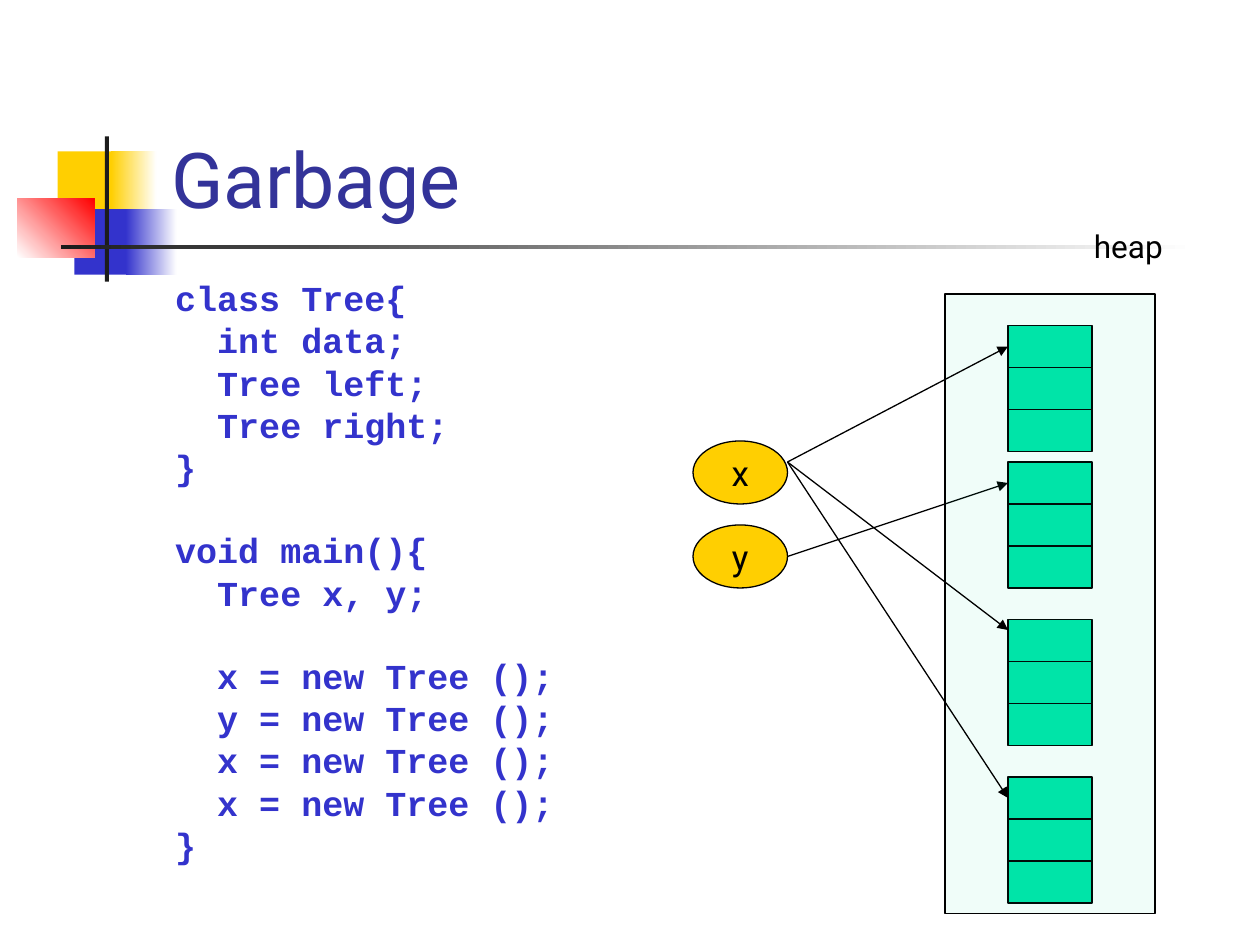
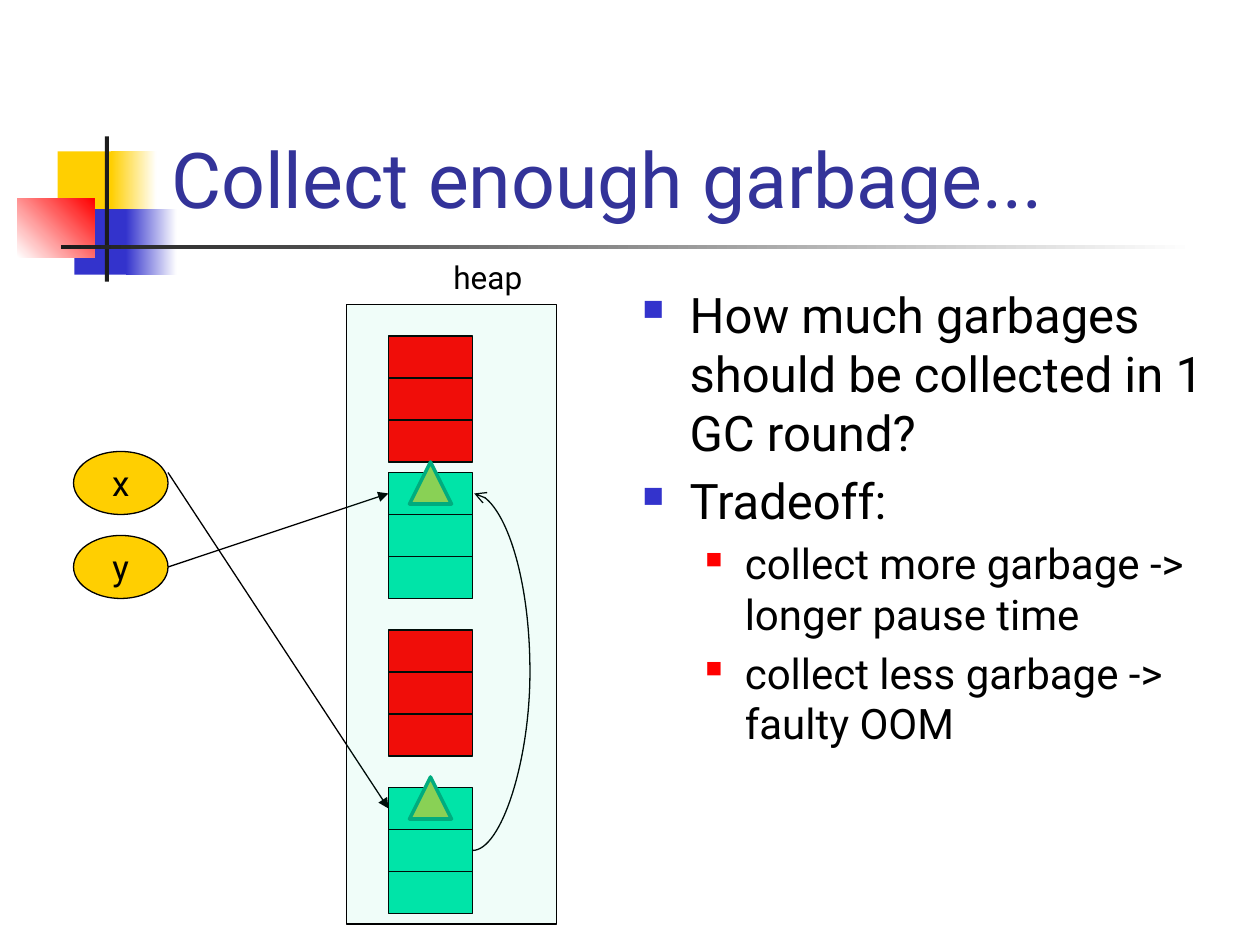
from lxml import etree
from pptx import Presentation
from pptx import util as u
from pptx.dml import color
from pptx.enum import shapes, text
from pptx.oxml import ns

Pt = u.Pt
SHAPE = shapes.MSO_SHAPE
LINE = shapes.MSO_CONNECTOR
COLOURS = {
    "yellow": "FFCF01", "blue": "3333CC", "title": "333399", "red": "FF0000",
    "live": "00E4A8", "mark": "92D050", "mark_edge": "00A97C",
    "bar": "1C1C1C", "white": "FFFFFF", "black": "000000",
}
BODY_FONT, CODE_FONT = "Roboto", "Courier New"
BANDS = [
    (33, 86.5, 34.5, 37.5, "yellow", None, 0),
    (63.5, 86.5, 26, 37.5, "yellow", "white", 0),
    (42.5, 119.5, 33, 37.5, "blue", None, 0),
    (72, 119.5, 29, 37.5, "blue", "white", 0),
    (10, 113.5, 44, 33.5, "white", "red", 45),
    (60, 78, 2.2, 83, "bar", None, 0),
    (34.8, 140, 648, 2.5, "bar", "white", 0),
]
CELL_W, CELL_H = 48, 24
HEAP_W, HEAP_H = 120, 354
NODE_OFFSETS = (18, 96, 186, 276)
ROOT_W, ROOT_H, ROOT_STEP = 54, 36, 48

CODE_BLOCKS = [
    ["class Tree{", "  int data;", "  Tree left;", "  Tree right;", "}"],
    ["void main(){", "  Tree x, y;"],
    ["  x = new Tree ();", "  y = new Tree ();", "  x = new Tree ();",
     "  x = new Tree ();", "}"],
]
TRADEOFFS = [
    (0, "How much garbages should be collected in 1 GC round?"),
    (0, "Tradeoff:"),
    (1, "collect more garbage -> longer pause time"),
    (1, "collect less garbage -> faulty OOM"),
]
BULLET_LEVELS = [
    {"size": 28, "left": 27, "hang": 27, "colour": "blue", "percent": 60},
    {"size": 24, "left": 58.5, "hang": 22.5, "colour": "red", "percent": 55},
]


def rgb(name):
    return color.RGBColor.from_string(COLOURS[name])


def add_xml(parent, tag, **attributes):
    return etree.SubElement(parent, ns.qn(tag), attributes)


class Deck:
    def __init__(self):
        self.show = Presentation()
        self.show.slide_width, self.show.slide_height = Pt(720), Pt(540)
        self.slide = None

    def start(self, heading):
        self.slide = self.show.slides.add_slide(self.show.slide_layouts[5])
        for x, y, w, h, colour, fade, angle in BANDS:
            self.block(SHAPE.RECTANGLE, x, y, w, h, colour, None, fade=fade, angle=angle)
        title = self.slide.shapes.title
        title.left, title.top, title.width, title.height = Pt(90.7), Pt(16.5), Pt(613.5), Pt(115.2)
        title.text_frame.text = heading
        title.text_frame.vertical_anchor = text.MSO_ANCHOR.BOTTOM
        self.style(title.text_frame.paragraphs[0], 44, "title")

    def style(self, paragraph, size, colour="black", font=BODY_FONT, bold=False,
              align=text.PP_ALIGN.LEFT):
        paragraph.alignment = align
        for run in paragraph.runs:
            run.font.size, run.font.name, run.font.bold = Pt(size), font, bold
            run.font.color.rgb = rgb(colour)

    def block(self, kind, x, y, w, h, colour, edge="black", edge_width=0.75,
              fade=None, angle=0, alpha=None):
        shape = self.slide.shapes.add_shape(kind, Pt(x), Pt(y), Pt(w), Pt(h))
        shape.shadow.inherit = False
        if fade:
            shape.fill.gradient()
            shape.fill.gradient_angle = angle
            for stop, name in zip(shape.fill.gradient_stops, (colour, fade)):
                stop.color.rgb = rgb(name)
        else:
            shape.fill.solid()
            shape.fill.fore_color.rgb = rgb(colour)
        if alpha:
            tint = shape._element.spPr.find(".//" + ns.qn("a:srgbClr"))
            add_xml(tint, "a:alpha", val=str(alpha * 1000))
        if edge:
            shape.line.color.rgb = rgb(edge)
            shape.line.width = Pt(edge_width)
        else:
            shape.line.fill.background()
        return shape

    def frame(self, x, y, w, h, wrap=True):
        frame = self.slide.shapes.add_textbox(Pt(x), Pt(y), Pt(w), Pt(h)).text_frame
        frame.word_wrap = wrap
        return frame

    def label(self, words, x, y):
        frame = self.frame(x, y, 54, 29, wrap=False)
        frame.text = words
        self.style(frame.paragraphs[0], 18)

    def roots(self, x, y):
        for row, name in enumerate("xy"):
            root = self.block(SHAPE.OVAL, x, y + row * ROOT_STEP, ROOT_W, ROOT_H, "yellow")
            frame = root.text_frame
            frame.word_wrap = False
            frame.vertical_anchor = text.MSO_ANCHOR.MIDDLE
            frame.text = name
            self.style(frame.paragraphs[0], 20, align=text.PP_ALIGN.CENTER)

    def nodes(self, x, heap_top, colours):
        for offset, colour in zip(NODE_OFFSETS, colours):
            for row in range(3):
                self.block(SHAPE.RECTANGLE, x, heap_top + offset + row * CELL_H,
                           CELL_W, CELL_H, colour)

    def heap(self, x, y):
        self.block(SHAPE.RECTANGLE, x, y, HEAP_W, HEAP_H, "live", alpha=6)

    def mark(self, x, y):
        self.block(SHAPE.ISOSCELES_TRIANGLE, x, y, 24, 24, "mark", "mark_edge", 2)

    def arrow(self, start, end, kind=LINE.STRAIGHT, head="triangle", bend=None):
        arrow = self.slide.shapes.add_connector(kind, *map(Pt, start + end))
        arrow.line.color.rgb = rgb("black")
        arrow.line.width = Pt(0.75)
        add_xml(arrow.line._get_or_add_ln(), "a:tailEnd", type=head)
        properties = arrow._element.spPr
        add_xml(properties, "a:effectLst")
        if bend:
            guides = properties.find(".//" + ns.qn("a:avLst"))
            add_xml(guides, "a:gd", name="adj1", fmla=f"val {bend}")

    def code(self, blocks, x, y, w, h):
        frame = self.frame(x, y, w, h)
        frame.text = "\n".join(line for block in blocks for line in block)
        gaps = [5 if row else 28.2 for block in blocks for row in range(len(block))]
        gaps[0] = 0
        for paragraph, gap in zip(frame.paragraphs, gaps):
            paragraph.line_spacing = 0.8
            paragraph.space_before = Pt(gap)
            self.style(paragraph, 20, "blue", CODE_FONT, bold=True)

    def bullets(self, items, x, y, w, h):
        frame = self.frame(x, y, w, h)
        frame.text = "\n".join(words for _, words in items)
        for row, (paragraph, (depth, _)) in enumerate(zip(frame.paragraphs, items)):
            level = BULLET_LEVELS[depth]
            paragraph.level = depth
            paragraph.space_before = Pt(0.2 * level["size"] if row else 0)
            properties = paragraph._p.get_or_add_pPr()
            properties.set("marL", str(Pt(level["left"])))
            properties.set("indent", str(-Pt(level["hang"])))
            tint = add_xml(properties, "a:buClr")
            add_xml(tint, "a:srgbClr", val=COLOURS[level["colour"]])
            add_xml(properties, "a:buSzPct", val=str(level["percent"] * 1000))
            add_xml(properties, "a:buChar", char="■")
            self.style(paragraph, level["size"])


def garbage(deck):
    deck.start("Garbage")
    deck.code(CODE_BLOCKS, 93, 159, 279, 324)
    deck.roots(396, 252)
    deck.nodes(576, 168, ["live"] * 4)
    deck.arrow((450, 318), (576, 276))
    deck.heap(540, 168)
    for target in (198, 360, 456):
        deck.arrow((450, 264), (576, target))
    deck.label("heap", 618, 126)


def collect_enough(deck):
    deck.start("Collect enough garbage...")
    deck.bullets(TRADEOFFS, 360, 159, 345, 324)
    deck.roots(42, 258)
    deck.nodes(222, 174, ["red", "live"] * 2)
    deck.arrow((96, 324), (222, 282))
    deck.arrow((96, 270), (222, 462))
    deck.label("heap", 252, 144)
    deck.arrow((270, 486), (271, 282), LINE.CURVE, "arrow", bend=3309700)
    for top in (444, 264):
        deck.mark(234, top)
    deck.heap(198, 174)


def main():
    deck = Deck()
    garbage(deck)
    collect_enough(deck)
    deck.show.save("out.pptx")


if __name__ == "__main__":
    main()
